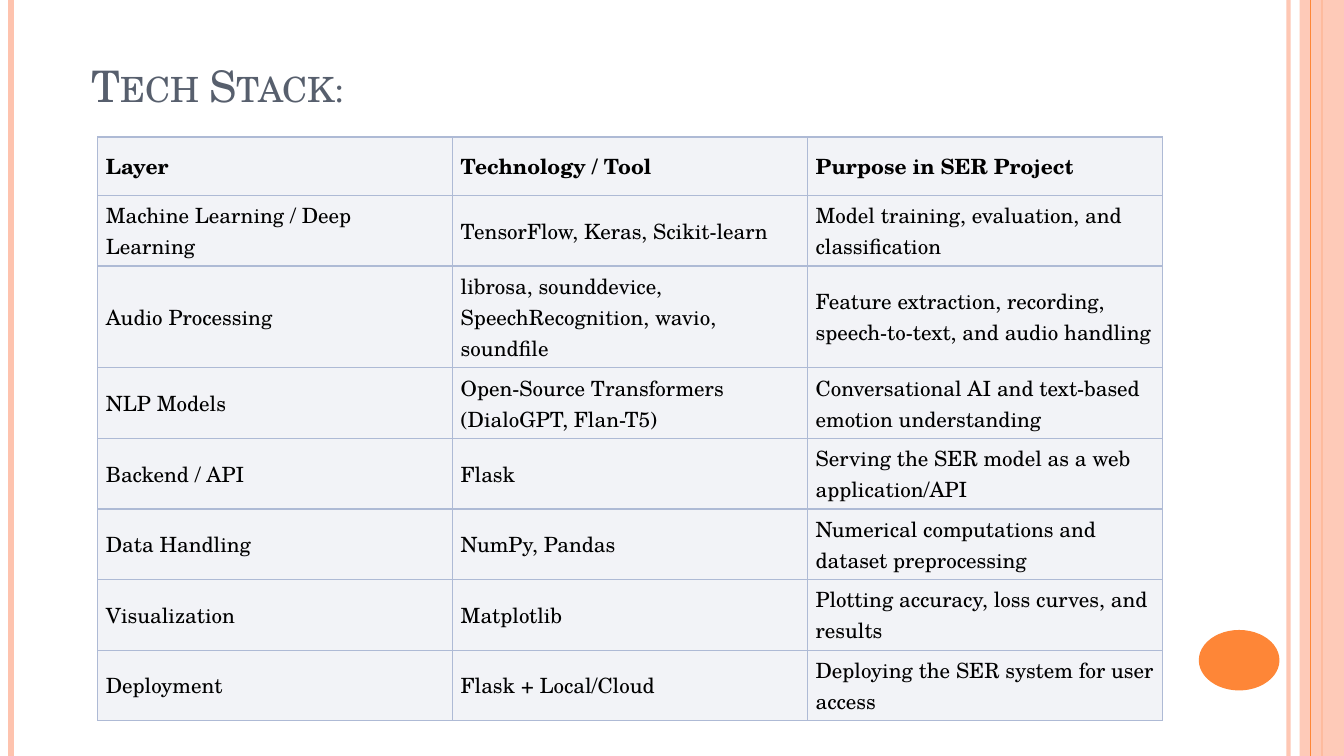
import dataclasses
import typing

import lxml.etree
import pptx
import pptx.dml.color
import pptx.enum.shapes
import pptx.enum.text
import pptx.oxml.ns
import pptx.util

Inches = pptx.util.Inches
Pt = pptx.util.Pt
SHAPE = pptx.enum.shapes.MSO_SHAPE
ANCHOR = pptx.enum.text.MSO_ANCHOR


@dataclasses.dataclass(frozen=True)
class Theme:
    font: str = "TeX Gyre Schola"
    title: str = "575F6D"
    ink: str = "000000"
    peach: str = "FEC3AE"
    orange: str = "FE8637"
    cell: str = "F2F3F7"
    edge: str = "AEBAD5"
    head_size: float = 31
    text_size: float = 15
    edge_width: float = 1


@dataclasses.dataclass(frozen=True)
class Stripe:
    left: float
    color: str
    width: float
    alpha: int = 100


@dataclasses.dataclass(frozen=True)
class Block:
    kind: typing.Any
    left: float
    top: float
    width: float
    height: float
    color: str
    alpha: int = 100


THEME = Theme()
WIDTH, HEIGHT = 13.33, 7.5

DECOR = [
    Stripe(12.78, THEME.peach, 3, 93),
    Stripe(0.11, THEME.peach, 4.5),
    Stripe(13.11, THEME.orange, 1.5),
    Block(SHAPE.RECTANGLE, 12.89, 0, 0.44, HEIGHT, THEME.peach, 87),
    Stripe(13, THEME.orange, 0.75),
    Block(SHAPE.OVAL, 11.89, 6.25, 0.8, 0.6, THEME.orange),
]

STACK = [
    ("Layer", "Technology / Tool", "Purpose in SER Project"),
    ("Machine Learning / Deep Learning", "TensorFlow, Keras, Scikit-learn",
     "Model training, evaluation, and classification"),
    ("Audio Processing", "librosa, sounddevice, SpeechRecognition, wavio, soundfile",
     "Feature extraction, recording, speech-to-text, and audio handling"),
    ("NLP Models", "Open-Source Transformers (DialoGPT, Flan-T5)",
     "Conversational AI and text-based emotion understanding"),
    ("Backend / API", "Flask", "Serving the SER model as a web application/API"),
    ("Data Handling", "NumPy, Pandas", "Numerical computations and dataset preprocessing"),
    ("Visualization", "Matplotlib", "Plotting accuracy, loss curves, and results"),
    ("Deployment", "Flask + Local/Cloud", "Deploying the SER system for user access"),
]
ROWS = [0.58, 0.7, 1.01] + [0.7] * 5
COLUMN = 3.52


def rgb(color: str) -> pptx.dml.color.RGBColor:
    return pptx.dml.color.RGBColor.from_string(color)


def add_node(parent, tag: str, **attrs: str):
    return lxml.etree.SubElement(parent, pptx.oxml.ns.qn(tag), attrs)


def paint(fill, color: str) -> None:
    fill.solid()
    fill.fore_color.rgb = rgb(color)


def fade(shape, alpha: int) -> None:
    if alpha < 100:
        tone = next(shape._element.spPr.iter(pptx.oxml.ns.qn("a:srgbClr")))
        add_node(tone, "a:alpha", val=str(alpha * 1000))


def add_run(frame, text: str, size: float, color: str, bold: bool = False):
    run = frame.paragraphs[0].add_run()
    run.text = text
    run.font.name = THEME.font
    run.font.size = Pt(size)
    run.font.bold = bold
    run.font.color.rgb = rgb(color)
    return run


def draw_stripe(slide, item: Stripe) -> None:
    line = slide.shapes.add_connector(
        pptx.enum.shapes.MSO_CONNECTOR.STRAIGHT,
        Inches(item.left), 0, Inches(item.left), Inches(HEIGHT))
    line.line.width = Pt(item.width)
    paint(line.line.fill, item.color)
    fade(line, item.alpha)
    add_node(line._element.spPr, "a:effectLst")


def draw_block(slide, item: Block) -> None:
    shape = slide.shapes.add_shape(
        item.kind, Inches(item.left), Inches(item.top),
        Inches(item.width), Inches(item.height))
    shape.shadow.inherit = False
    shape.line.fill.background()
    paint(shape.fill, item.color)
    fade(shape, item.alpha)


def draw_title(slide, text: str) -> None:
    title = slide.shapes.title
    title.left, title.top = Inches(0.81), Inches(0.39)
    title.width, title.height = Inches(10.89), Inches(0.76)
    frame = title.text_frame
    frame.auto_size = pptx.enum.text.MSO_AUTO_SIZE.NONE
    frame.vertical_anchor = ANCHOR.BOTTOM
    frame.paragraphs[0].alignment = pptx.enum.text.PP_ALIGN.LEFT
    run = add_run(frame, text, THEME.head_size, THEME.title)
    run.font._element.set("cap", "small")


def draw_edges(cell) -> None:
    props = cell._tc.get_or_add_tcPr()
    for side in "LRTB":
        edge = add_node(props, f"a:ln{side}", w=str(Pt(THEME.edge_width)))
        add_node(add_node(edge, "a:solidFill"), "a:srgbClr", val=THEME.edge)


def draw_cell(cell, text: str, bold: bool) -> None:
    cell.margin_left = cell.margin_right = Inches(0.08)
    cell.margin_top = cell.margin_bottom = Inches(0.04)
    cell.vertical_anchor = ANCHOR.MIDDLE
    draw_edges(cell)
    paint(cell.fill, THEME.cell)
    add_run(cell.text_frame, text, THEME.text_size, THEME.ink, bold)


def draw_table(slide) -> None:
    count = len(STACK[0])
    table = slide.shapes.add_table(
        len(STACK), count, Inches(0.97), Inches(1.36),
        Inches(COLUMN * count), Inches(sum(ROWS))).table
    table.horz_banding = False
    for column in table.columns:
        column.width = Inches(COLUMN)
    for index, (height, texts) in enumerate(zip(ROWS, STACK)):
        table.rows[index].height = Inches(height)
        for place, text in enumerate(texts):
            draw_cell(table.cell(index, place), text, index == 0)


def main() -> None:
    deck = pptx.Presentation()
    deck.slide_width, deck.slide_height = Inches(WIDTH), Inches(HEIGHT)
    slide = deck.slides.add_slide(deck.slide_layouts.get_by_name("Title Only"))
    for item in DECOR:
        if isinstance(item, Stripe):
            draw_stripe(slide, item)
        else:
            draw_block(slide, item)
    draw_title(slide, "Tech Stack:")
    draw_table(slide)
    deck.save("out.pptx")


if __name__ == "__main__":
    main()
